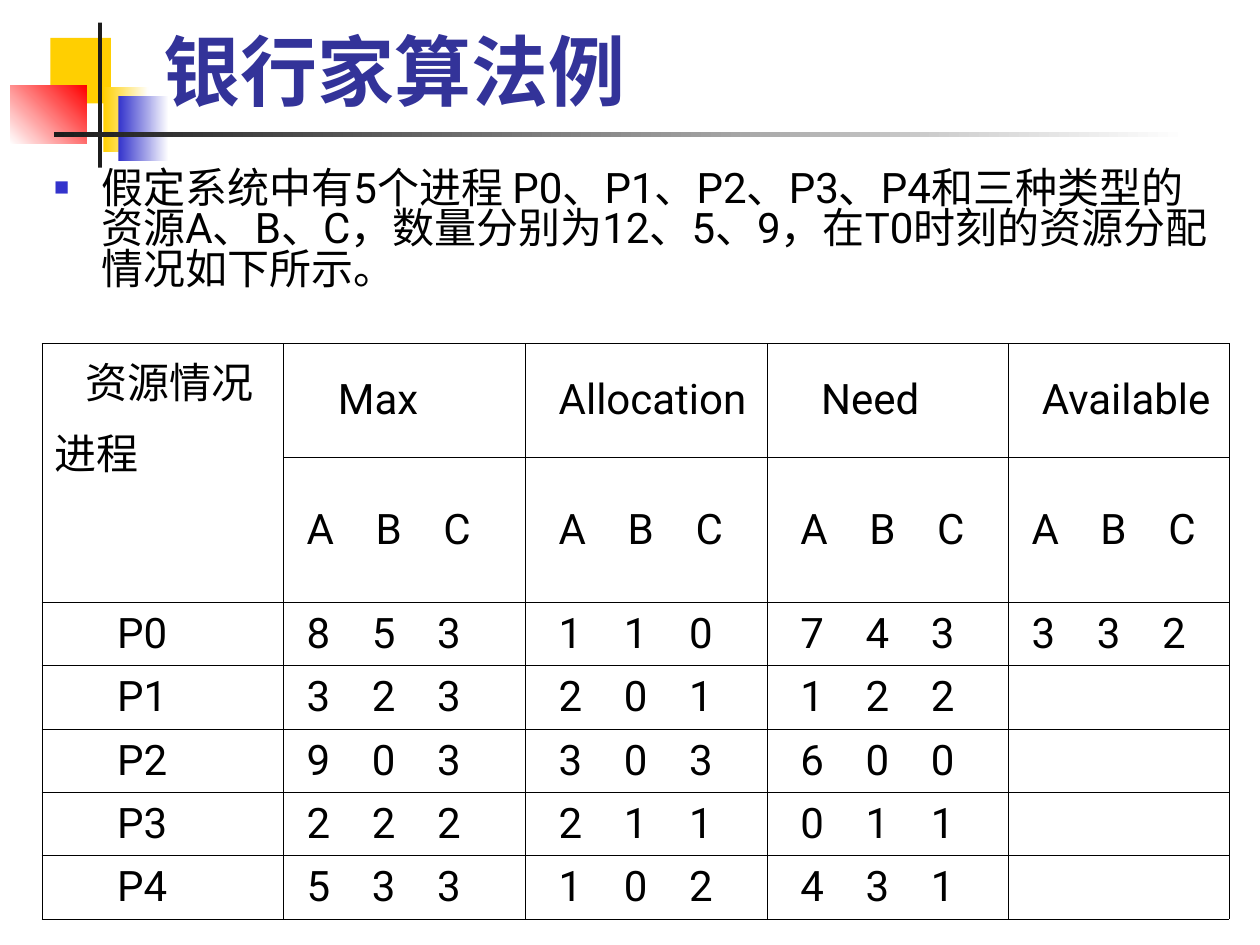
from typing import NamedTuple

from lxml.etree import SubElement
from pptx import Presentation
from pptx.dml.color import RGBColor
from pptx.enum.shapes import MSO_SHAPE
from pptx.enum.text import MSO_ANCHOR, MSO_AUTO_SIZE, PP_ALIGN
from pptx.oxml.ns import qn
from pptx.util import Pt

FONT = "Roboto"
HEX = {
    "gold": "FFCF01", "blue": "3333CC", "red": "FF0000", "dark": "1C1C1C",
    "white": "FFFFFF", "navy": "333399", "black": "000000",
}


class Block(NamedTuple):
    left: float
    top: float
    width: float
    height: float
    start: str
    end: str = ""
    angle: int = 0


class Group(NamedTuple):
    head: str
    indent: float
    inset: float
    rows: list[str]


BLOCKS = [
    Block(28.8, 21.6, 34.56, 37.44, "gold"),
    Block(59.04, 49.68, 25.92, 37.44, "gold", "white"),
    Block(67.68, 54.72, 28.8, 37.44, "blue", "white"),
    Block(5.76, 48.96, 43.92, 33.12, "white", "red", 45),
    Block(56.16, 12.96, 2.16, 82.8, "dark"),
    Block(30.96, 75.6, 648, 2.88, "dark", "white"),
]
GROUPS = [
    Group("Max", 31, 13.15, ["853", "323", "903", "222", "533"]),
    Group("Allocation", 19.1, 19.1, ["110", "201", "303", "211", "102"]),
    Group("Need", 31, 19.1, ["743", "122", "600", "011", "431"]),
    Group("Available", 19.1, 13.15, ["332", "", "", "", ""]),
]
WIDTHS = [138.1] * 4 + [126]
HEIGHTS = [65, 82.9] + [36.2] * 5
LETTER_TABS = [39.4, 78.2]
DIGIT_TABS = [37.3, 74.6]


def color(name: str) -> RGBColor:
    return RGBColor.from_string(HEX[name])


def place(shape, left: float, top: float, width: float, height: float) -> None:
    shape.left, shape.top = Pt(left), Pt(top)
    shape.width, shape.height = Pt(width), Pt(height)


def style(para, size: float, tint: str, bold: bool = False) -> None:
    para.alignment = PP_ALIGN.LEFT
    font = para.font
    font.name, font.size, font.bold = FONT, Pt(size), bold
    font.color.rgb = color(tint)


def draw_block(slide, block: Block) -> None:
    shape = slide.shapes.add_shape(MSO_SHAPE.RECTANGLE, 0, 0, 0, 0)
    place(shape, *block[:4])
    shape.shadow.inherit = False
    shape.line.fill.background()
    if block.end:
        shape.fill.gradient()
        shape.fill.gradient_angle = block.angle
        for stop, name in zip(shape.fill.gradient_stops, (block.start, block.end)):
            stop.color.rgb = color(name)
    else:
        shape.fill.solid()
        shape.fill.fore_color.rgb = color(block.start)


def add_bullet(para) -> None:
    props = para._p.get_or_add_pPr()
    props.set("marL", str(Pt(27)))
    props.set("indent", str(Pt(-27)))
    tint = SubElement(props, qn("a:buClr"))
    SubElement(tint, qn("a:srgbClr"), val=HEX["blue"])
    SubElement(props, qn("a:buSzPct"), val="60000")
    SubElement(props, qn("a:buFont"), typeface="Arial")
    SubElement(props, qn("a:buChar"), char="■")


def add_tabs(para, stops: list[float]) -> None:
    tabs = SubElement(para._p.get_or_add_pPr(), qn("a:tabLst"))
    for stop in stops:
        SubElement(tabs, qn("a:tab"), pos=str(Pt(stop)), algn="l")


def add_border(cell) -> None:
    props = cell._tc.get_or_add_tcPr()
    for spot, side in enumerate("LRTB"):
        line = SubElement(props, qn(f"a:ln{side}"), w=str(Pt(0.45)))
        fill = SubElement(line, qn("a:solidFill"))
        SubElement(fill, qn("a:srgbClr"), val=HEX["black"])
        props.insert(spot, line)


def fill_cell(cell, text: str, inset: float, stops: list[float] | None = None) -> None:
    cell.text = text
    cell.margin_left = Pt(inset)
    cell.vertical_anchor = MSO_ANCHOR.MIDDLE
    for para in cell.text_frame.paragraphs:
        para.space_before = Pt(6)
        if stops:
            add_tabs(para, stops)
        style(para, 24, "black")


def draw_table(slide) -> None:
    frame = slide.shapes.add_table(
        len(HEIGHTS), len(WIDTHS), Pt(24), Pt(196.3), Pt(sum(WIDTHS)), Pt(sum(HEIGHTS)))
    table = frame.table
    table.first_row = table.horz_banding = False
    for col, width in zip(table.columns, WIDTHS):
        col.width = Pt(width)
    for row, height in zip(table.rows, HEIGHTS):
        row.height = Pt(height)
    for cell in table.iter_cells():
        cell.fill.background()
        add_border(cell)

    corner = table.cell(0, 0)
    corner.merge(table.cell(1, 0))
    fill_cell(corner, "资源情况\n进程", 7.2)
    corner.vertical_anchor = MSO_ANCHOR.TOP
    corner.text_frame.paragraphs[0]._p.get_or_add_pPr().set("marL", str(Pt(17.8)))

    for row in range(5):
        fill_cell(table.cell(row + 2, 0), f"P{row}", 42.9)
    for col, group in enumerate(GROUPS, 1):
        fill_cell(table.cell(0, col), group.head, group.indent)
        fill_cell(table.cell(1, col), "\t".join("ABC"), group.inset, LETTER_TABS)
        for row, digits in enumerate(group.rows, 2):
            fill_cell(table.cell(row, col), "\t".join(digits), group.inset, DIGIT_TABS)


def main() -> None:
    deck = Presentation()
    deck.slide_width, deck.slide_height = Pt(720), Pt(540)
    slide = deck.slides.add_slide(deck.slide_layouts[1])
    title, body = slide.placeholders
    for block in BLOCKS:
        draw_block(slide, block)
    for holder in (title, body):
        slide.shapes.element.append(holder.element)

    place(title, 86.4, 12.24, 613.44, 57.6)
    title.text = "银行家算法例"
    title.text_frame.vertical_anchor = MSO_ANCHOR.BOTTOM
    title.text_frame.auto_size = MSO_AUTO_SIZE.NONE
    style(title.text_frame.paragraphs[0], 44, "navy", True)

    place(body, 23.76, 94.32, 681.12, 84.24)
    body.text = (
        "假定系统中有5个进程 P0、P1、P2、P3、P4和三种类型的资源A、B、C，"
        "数量分别为12、5、9，在T0时刻的资源分配情况如下所示。")
    body.text_frame.auto_size = MSO_AUTO_SIZE.NONE
    para = body.text_frame.paragraphs[0]
    para.line_spacing, para.space_before = 0.8, Pt(6)
    add_bullet(para)
    style(para, 24, "black")

    draw_table(slide)
    deck.save("out.pptx")


if __name__ == "__main__":
    main()
